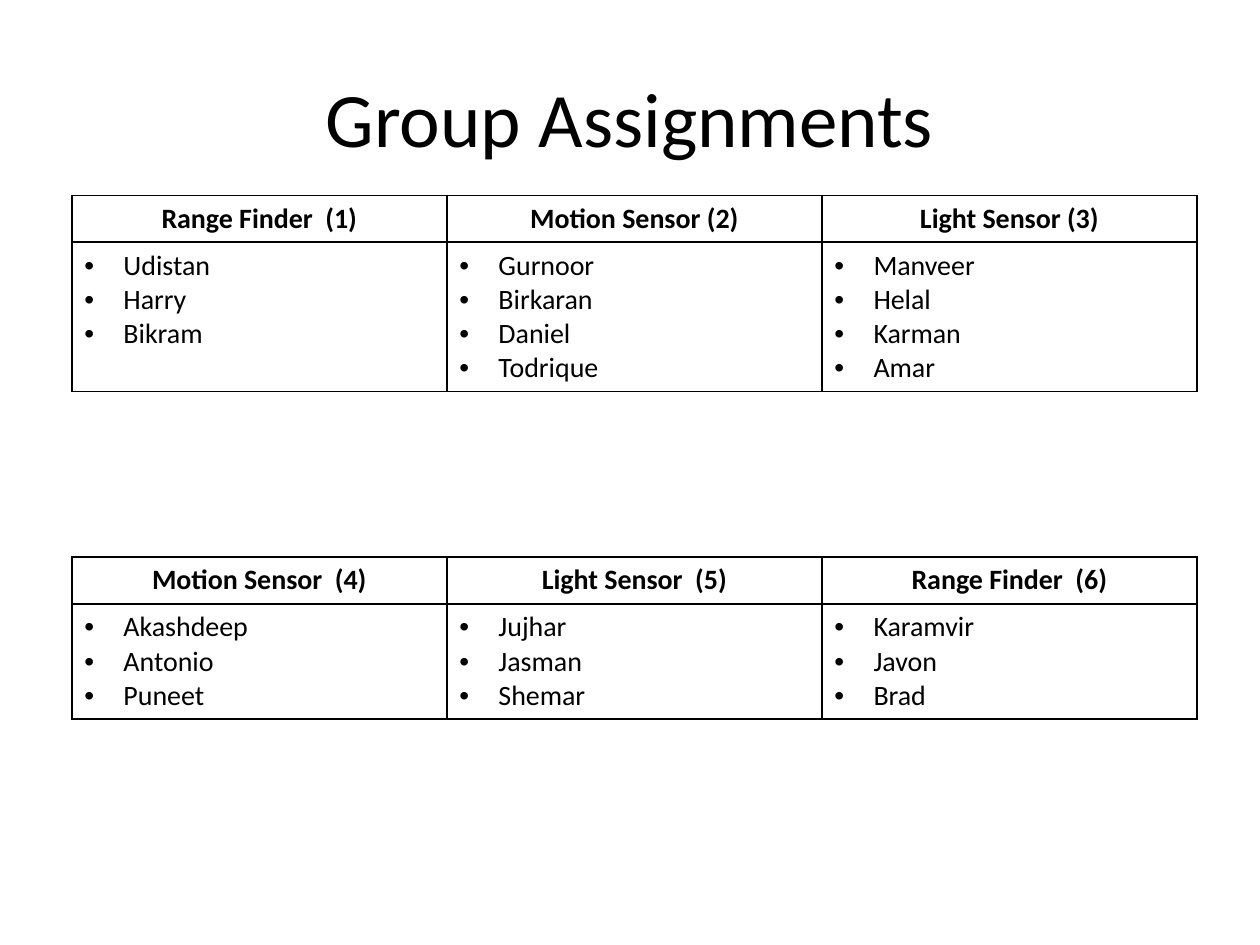
from pptx import Presentation
from pptx.dml.color import RGBColor
from pptx.enum.text import MSO_ANCHOR, PP_ALIGN
from pptx.oxml import parse_xml
from pptx.oxml.ns import nsdecls
from pptx.util import Inches, Pt

CENTER, LEFT = PP_ALIGN.CENTER, PP_ALIGN.LEFT
MIDDLE = MSO_ANCHOR.MIDDLE

THEME = {"font": "Calibri", "ink": "000000", "title": 44, "body": 16, "border": 1}

presentation = Presentation()
presentation.slide_width, presentation.slide_height = Inches(10), Inches(7.5)
slide = presentation.slides.add_slide(presentation.slide_layouts[5])


def write(paragraph, text, size, bold, align):
    paragraph.alignment = align
    run = paragraph.add_run()
    run.text = text
    formats = {"name": THEME["font"], "size": Pt(size), "bold": bold}
    for attribute, value in formats.items():
        setattr(run.font, attribute, value)
    run.font.color.rgb = RGBColor.from_string(THEME["ink"])


def add_borders(cell):
    properties = cell._tc.get_or_add_tcPr()
    for position, edge in enumerate(("lnL", "lnR", "lnT", "lnB")):
        properties.insert(position, parse_xml(
            f'<a:{edge} {nsdecls("a")} w="{Pt(THEME["border"])}"><a:solidFill>'
            f'<a:srgbClr val="{THEME["ink"]}"/></a:solidFill></a:{edge}>'))


# Title
title = slide.shapes.title
title_box = {"left": 0.5, "top": 0.3, "width": 9, "height": 1.25}
for attribute, value in title_box.items():
    setattr(title, attribute, Inches(value))
title.text_frame.vertical_anchor = MIDDLE
write(title.text_frame.paragraphs[0], "Group Assignments", THEME["title"], False, CENTER)

# Groups: top of each table, then members under each sensor
assignments = [
    (1.55, {
        "Range Finder  (1)": ["Udistan", "Harry", "Bikram"],
        "Motion Sensor (2)": ["Gurnoor", "Birkaran", "Daniel", "Todrique"],
        "Light Sensor (3)": ["Manveer", "Helal", "Karman", "Amar"],
    }),
    (4.42, {
        "Motion Sensor  (4)": ["Akashdeep", "Antonio", "Puneet"],
        "Light Sensor  (5)": ["Jujhar", "Jasman", "Shemar"],
        "Range Finder  (6)": ["Karamvir", "Javon", "Brad"],
    }),
]
table_left, table_width = 0.57, 8.93
header_height, member_height, cell_padding = 0.37, 0.27, 0.1
bullet_indent = Inches(0.31)

for table_top, groups in assignments:
    members_height = member_height * max(map(len, groups.values())) + cell_padding
    table = slide.shapes.add_table(
        2, len(groups), Inches(table_left), Inches(table_top),
        Inches(table_width), Inches(header_height + members_height)).table
    table.first_row = table.horz_banding = False
    table.rows[0].height = Inches(header_height)
    table.rows[1].height = Inches(members_height)

    for column, (sensor, members) in enumerate(groups.items()):
        header, roster = table.cell(0, column), table.cell(1, column)
        for cell in (header, roster):
            cell.fill.background()
            add_borders(cell)
        write(header.text_frame.paragraphs[0], sensor, THEME["body"], True, CENTER)

        # Bulleted members
        for index, member in enumerate(members):
            frame = roster.text_frame
            paragraph = frame.add_paragraph() if index else frame.paragraphs[0]
            write(paragraph, member, THEME["body"], False, LEFT)
            bullet = paragraph._p.get_or_add_pPr()
            bullet.set("marL", str(bullet_indent))
            bullet.set("indent", str(-bullet_indent))
            bullet.append(parse_xml(f'<a:buFont {nsdecls("a")} typeface="Arial"/>'))
            bullet.append(parse_xml(f'<a:buChar {nsdecls("a")} char="•"/>'))

presentation.save("out.pptx")
